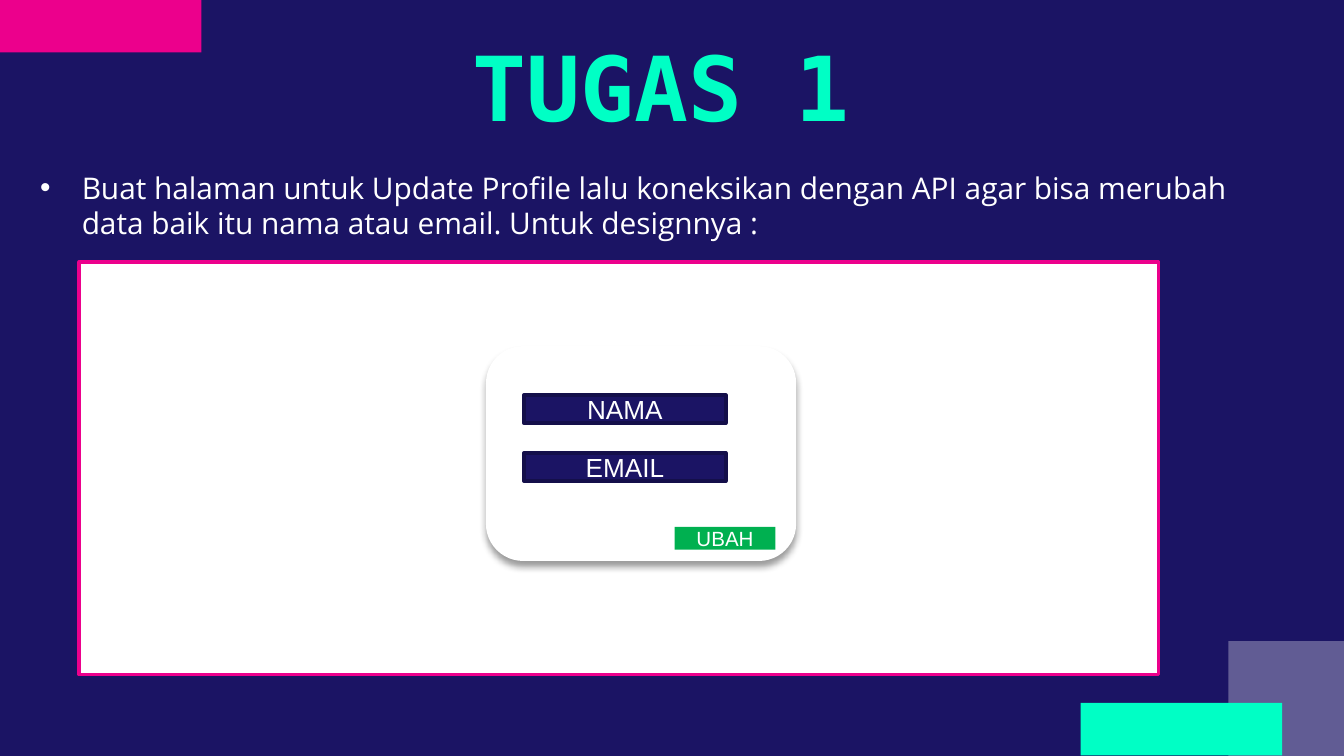
import dataclasses

import lxml.etree
import pptx
import pptx.dml.color
import pptx.enum.shapes
import pptx.enum.text
import pptx.oxml.ns
import pptx.util

Inches = pptx.util.Inches
Pt = pptx.util.Pt
Align = pptx.enum.text.PP_ALIGN
Anchor = pptx.enum.text.MSO_ANCHOR
Preset = pptx.enum.shapes.MSO_SHAPE
qn = pptx.oxml.ns.qn


@dataclasses.dataclass(frozen=True)
class Theme:
    navy: str = "1B1464"
    navy_edge: str = "140F4A"
    pink: str = "EC008C"
    mint: str = "00FFC5"
    green: str = "00B050"
    white: str = "FFFFFF"
    black: str = "000000"
    title_font: str = "DejaVu Sans Mono"
    body_font: str = "Open Sans"
    form_font: str = "Arial"
    title_size: int = 48
    body_size: int = 16
    field_size: int = 14
    button_size: int = 11
    line_width: int = 2


def rgb(color):
    return pptx.dml.color.RGBColor.from_string(color)


def add_child(parent, tag, **attributes):
    child = lxml.etree.SubElement(parent, qn(tag))
    for name, value in attributes.items():
        child.set(name, str(value))
    return child


class SlideBuilder:
    def __init__(self, slide, theme):
        self.slide = slide
        self.theme = theme
        slide.background.fill.solid()
        slide.background.fill.fore_color.rgb = rgb(theme.navy)

    def style(self, paragraph, font, size, color, align):
        paragraph.font.name = font
        paragraph.font.size = Pt(size)
        paragraph.font.color.rgb = rgb(color)
        paragraph.alignment = align

    def insets(self, frame, side, top):
        frame.margin_left = frame.margin_right = Inches(side)
        frame.margin_top = frame.margin_bottom = Inches(top)

    def title(self, text, left, top, width, height):
        shape = self.slide.shapes.title
        shape.left, shape.top = Inches(left), Inches(top)
        shape.width, shape.height = Inches(width), Inches(height)
        frame = shape.text_frame
        frame.text = text
        frame.auto_size = pptx.enum.text.MSO_AUTO_SIZE.NONE
        frame.vertical_anchor = Anchor.TOP
        self.insets(frame, 0.1, 0.1)
        paragraph = frame.paragraphs[0]
        self.style(paragraph, self.theme.title_font, self.theme.title_size,
                   self.theme.mint, Align.CENTER)
        paragraph.font.bold = True

    def bullet(self, text, left, top, width, height):
        shape = self.slide.shapes.add_textbox(
            Inches(left), Inches(top), Inches(width), Inches(height))
        frame = shape.text_frame
        frame.word_wrap = True
        frame.text = text
        self.insets(frame, 0.1, 0.1)
        paragraph = frame.paragraphs[0]
        self.style(paragraph, self.theme.body_font, self.theme.body_size,
                   self.theme.white, Align.LEFT)
        properties = paragraph._p.get_or_add_pPr()
        properties.set("marL", str(Inches(0.31)))
        properties.set("indent", str(-Inches(0.31)))
        font = properties.find(qn("a:defRPr"))
        marker = add_child(properties, "a:buFont", typeface="Arial")
        character = add_child(properties, "a:buChar", char="\u2022")
        font.addprevious(marker)
        font.addprevious(character)

    def box(self, shapes, left, top, width, height, fill, line=None,
            preset=Preset.RECTANGLE, opacity=None):
        shape = shapes.add_shape(
            preset, Inches(left), Inches(top), Inches(width), Inches(height))
        shape.shadow.inherit = False
        shape.fill.solid()
        shape.fill.fore_color.rgb = rgb(fill)
        if opacity is not None:
            color = shape._element.spPr.find(qn("a:solidFill"))[0]
            add_child(color, "a:alpha", val=opacity * 1000)
        if line:
            shape.line.color.rgb = rgb(line)
            shape.line.width = Pt(self.theme.line_width)
        else:
            shape.line.fill.background()
        return shape

    def label(self, shape, text, size):
        frame = shape.text_frame
        frame.text = text
        frame.vertical_anchor = Anchor.MIDDLE
        self.insets(frame, 0.1, 0)
        self.style(frame.paragraphs[0], self.theme.form_font, size,
                   self.theme.white, Align.CENTER)

    def drop_shadow(self, shape):
        effects = shape._element.spPr.find(qn("a:effectLst"))
        shadow = add_child(effects, "a:outerShdw", blurRad=Pt(4), dist=Pt(3),
                           dir=90 * 60000, algn="t", rotWithShape=0)
        color = add_child(shadow, "a:srgbClr", val=self.theme.black)
        add_child(color, "a:alpha", val=40000)

    def form(self):
        theme = self.theme
        shapes = self.slide.shapes.add_group_shape().shapes
        self.box(shapes, 0.59, 1.95, 8.03, 3.07, theme.white, theme.pink)
        card = self.box(shapes, 3.63, 2.59, 2.28, 1.57, theme.white,
                        theme.white, Preset.ROUNDED_RECTANGLE)
        self.drop_shadow(card)
        for index, name in enumerate(("NAMA", "EMAIL")):
            field = self.box(shapes, 3.9, 2.94 + 0.43 * index, 1.5, 0.21,
                             theme.navy, theme.navy_edge)
            self.label(field, name, theme.field_size)
        button = self.box(shapes, 5.02, 3.92, 0.75, 0.17, theme.green)
        self.label(button, "UBAH", theme.button_size)


theme = Theme()
presentation = pptx.Presentation()
presentation.slide_width = Inches(10)
presentation.slide_height = Inches(10) * 9 // 16
slide = presentation.slides.add_slide(presentation.slide_layouts[5])
builder = SlideBuilder(slide, theme)
builder.box(slide.shapes, 0, 0, 1.5, 0.39, theme.pink)
builder.box(slide.shapes, 9.14, 4.77, 0.86, 0.86, theme.white, opacity=31)
builder.box(slide.shapes, 8.04, 5.23, 1.5, 0.39, theme.mint)
builder.title("TUGAS 1", 0.43, 0.14, 8.98, 0.73)
builder.bullet(
    "Buat halaman untuk Update Profile lalu koneksikan dengan API agar bisa "
    "merubah data baik itu nama atau email. Untuk designnya :",
    0.2, 1.16, 9.45, 0.79)
builder.form()
presentation.save("out.pptx")
